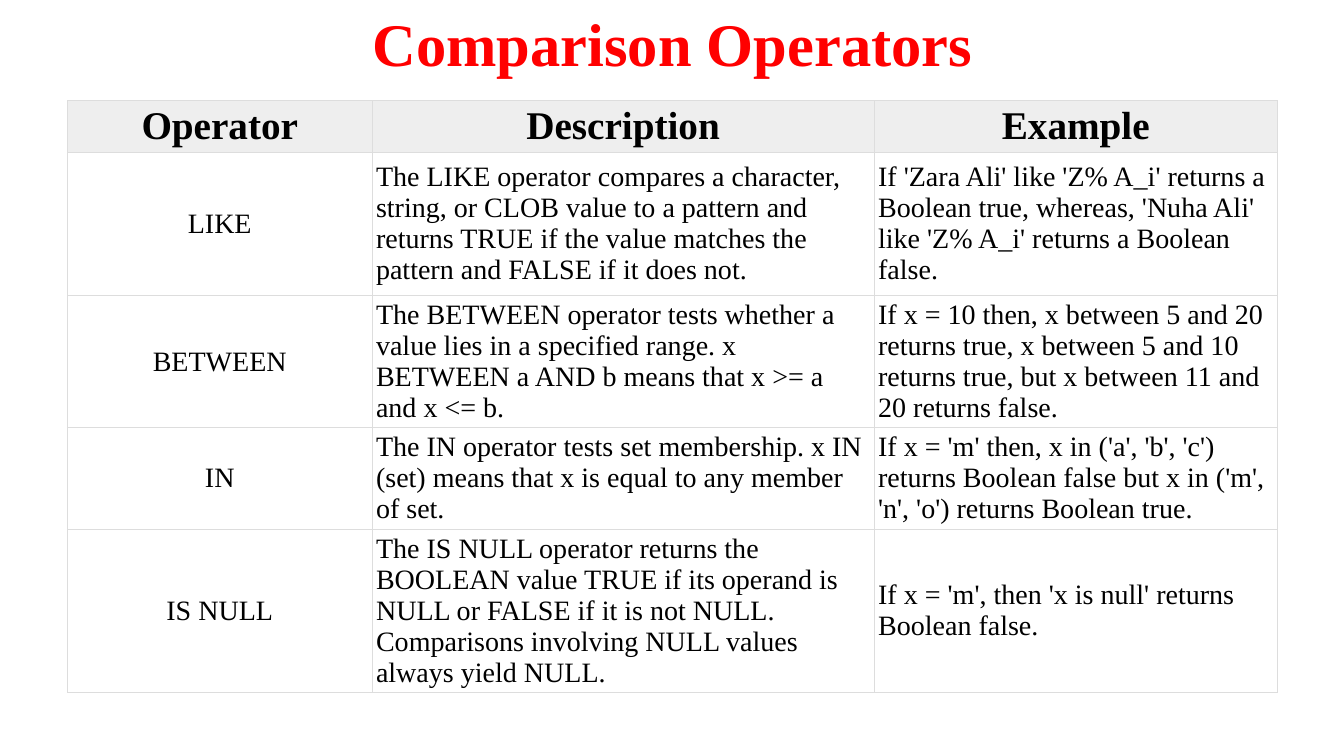
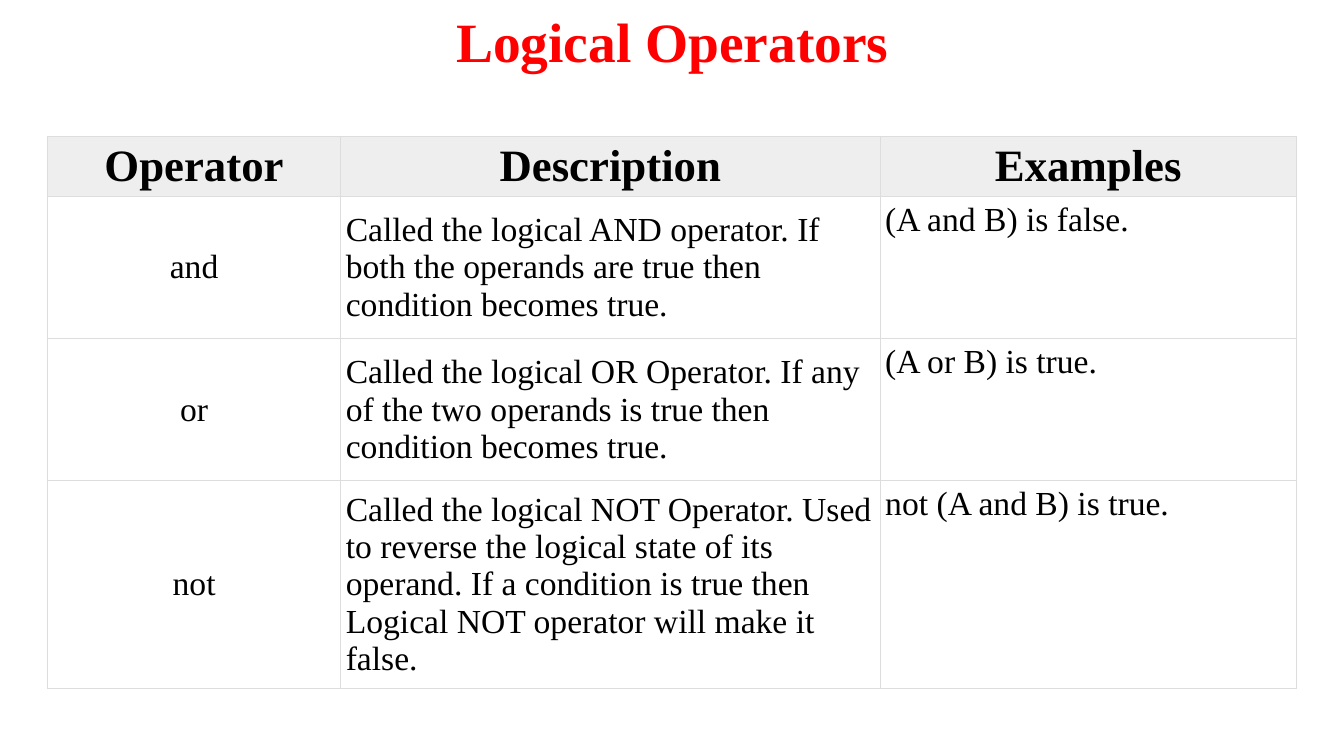
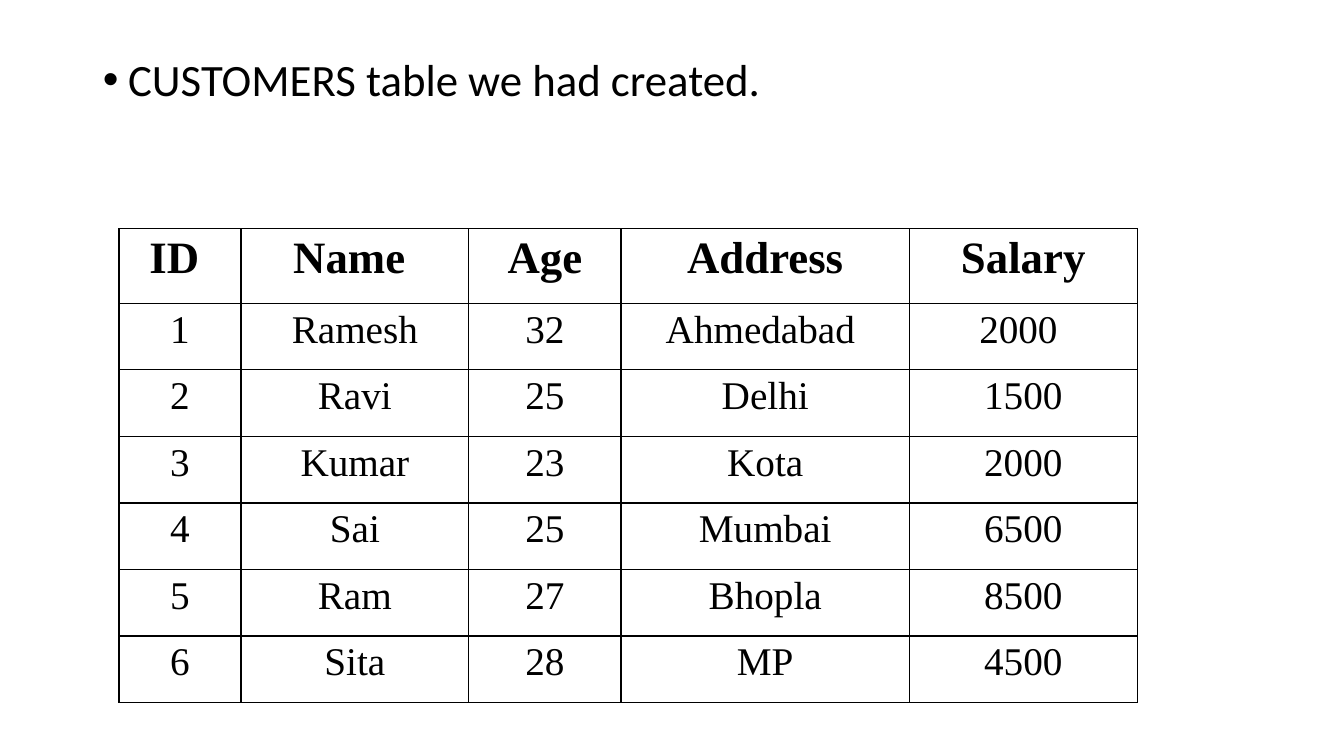
from lxml.etree import SubElement as Sub
from pptx import Presentation
from pptx.dml.color import RGBColor
from pptx.enum.text import MSO_ANCHOR as Anchor, MSO_AUTO_SIZE as Fit, PP_ALIGN as Align
from pptx.oxml import parse_xml
from pptx.oxml.ns import nsdecls, qn
from pptx.util import Inches, Pt

SERIF, SANS = "Times New Roman", "Calibri"
RED, BLACK, GRAY, PALE = "FF0000", "000000", "DDDDDD", "EEEEEE"
HEAD = (0.92, 0.09, 11.5, 0.9)

COMPARE = [
    ("Operator", "Description", "Example"),
    ("LIKE",
     "The LIKE operator compares a character, string, or CLOB value to a pattern "
     "and returns TRUE if the value matches the pattern and FALSE if it does not.",
     "If 'Zara Ali' like 'Z% A_i' returns a Boolean true, whereas, "
     "'Nuha Ali' like 'Z% A_i' returns a Boolean false."),
    ("BETWEEN",
     "The BETWEEN operator tests whether a value lies in a specified range. "
     "x BETWEEN a AND b means that x >= a and x <= b.",
     "If x = 10 then, x between 5 and 20 returns true, x between 5 and 10 "
     "returns true, but x between 11 and 20 returns false."),
    ("IN",
     "The IN operator tests set membership. "
     "x IN (set) means that x is equal to any member of set.",
     "If x = 'm' then, x in ('a', 'b', 'c') returns Boolean false "
     "but x in ('m', 'n', 'o') returns Boolean true."),
    ("IS NULL",
     "The IS NULL operator returns the BOOLEAN value TRUE if its operand is NULL "
     "or FALSE if it is not NULL. Comparisons involving NULL values always yield NULL.",
     "If x = 'm', then 'x is null' returns Boolean false."),
]
LOGIC = [
    ("Operator", "Description", "Examples"),
    ("and",
     "Called the logical AND operator. If both the operands are true "
     "then condition becomes true.",
     "(A and B) is false."),
    ("or",
     "Called the logical OR Operator. If any of the two operands is true "
     "then condition becomes true.",
     "(A or B) is true."),
    ("not",
     "Called the logical NOT Operator. Used to reverse the logical state of its operand. "
     "If a condition is true then Logical NOT operator will make it false.",
     "not (A and B) is true."),
]
PEOPLE = [
    ("ID ", "Name ", "Age", "Address", "Salary"),
    ("1", "Ramesh", "32", "Ahmedabad ", "2000 "),
    ("2", "Ravi", "25", "Delhi", "1500"),
    ("3", "Kumar", "23", "Kota", "2000"),
    ("4", "Sai", "25", "Mumbai", "6500"),
    ("5", "Ram", "27", "Bhopla", "8500"),
    ("6", "Sita", "28", "MP", "4500"),
]


def color(code):
    """Turn a hex string into a colour."""
    return RGBColor.from_string(code)


def style(para, size, face=SERIF, tint=BLACK, bold=False):
    """Format every run of a paragraph."""
    for run in para.runs:
        font = run.font
        font.size, font.name, font.bold = Pt(size), face, bold
        font.color.rgb = color(tint)


def place(shape, box):
    """Move a shape to a box given in inches."""
    shape.left, shape.top, shape.width, shape.height = map(Inches, box)


def write(holder, box, text):
    """Fill a placeholder from its top and return its paragraph."""
    place(holder, box)
    frame = holder.text_frame
    frame.text = text
    frame.word_wrap, frame.auto_size = True, Fit.NONE
    frame.vertical_anchor = Anchor.TOP
    para = frame.paragraphs[0]
    para.line_spacing, para.space_before = 0.9, Pt(0)
    return para


def title(slide, text, size):
    """Write the red centred slide title."""
    para = write(slide.shapes.title, HEAD, text)
    para.alignment = Align.CENTER
    style(para, size, tint=RED, bold=True)


def bullet(slide, box, text):
    """Write a single bulleted line in the body placeholder."""
    para = write(slide.placeholders[1], box, text)
    props = para._p.get_or_add_pPr()
    props.set("marL", str(Inches(0.25)))
    props.set("indent", str(-Inches(0.25)))
    Sub(props, qn("a:buFont"), typeface="Arial")
    Sub(props, qn("a:buChar"), char="•")
    style(para, 32, SANS)


def border(cell, tint, width):
    """Draw the four sides of a cell."""
    props = cell._tc.get_or_add_tcPr()
    for spot, side in enumerate("LRTB"):
        props.insert(spot, parse_xml(
            f'<a:ln{side} {nsdecls("a")} w="{Pt(width)}"><a:solidFill>'
            f'<a:srgbClr val="{tint}"/></a:solidFill></a:ln{side}>'))


def grid(slide, spot, cols, rows, data, sizes, line, pad=None, fill=None,
         left=(), middle=()):
    """Place a table; left and middle list the columns whose body is so aligned."""
    box = (*spot, sum(cols), sum(rows))
    table = slide.shapes.add_table(len(rows), len(cols), *map(Inches, box)).table
    table.horz_banding = False
    for col, width in zip(table.columns, cols):
        col.width = Inches(width)
    for r, (row, height) in enumerate(zip(table.rows, rows)):
        row.height = Inches(height)
        for c, cell in enumerate(row.cells):
            body = r > 0
            cell.text = data[r][c]
            para = cell.text_frame.paragraphs[0]
            para.alignment = Align.LEFT if body and c in left else Align.CENTER
            style(para, sizes[body], bold=not body)
            cell.vertical_anchor = Anchor.MIDDLE if body and c in middle else Anchor.TOP
            if pad:
                cell.margin_left = cell.margin_right = Inches(pad)
                cell.margin_top = cell.margin_bottom = Inches(pad)
            if fill and not body:
                cell.fill.solid()
                cell.fill.fore_color.rgb = color(fill)
            else:
                cell.fill.background()
            border(cell, *line)


def main():
    """Build and save the deck."""
    deck = Presentation()
    deck.slide_width, deck.slide_height = Inches(13.33), Inches(7.5)
    text, plain = deck.slide_layouts[1], deck.slide_layouts[5]

    slide = deck.slides.add_slide(plain)
    title(slide, "Comparison Operators", 43.2)
    grid(slide, (0.67, 1), (3.02, 4.98, 4), (0.51, 1.42, 1.31, 0.99, 1.62), COMPARE,
         (28, 20), (GRAY, 0.75), 0.04, PALE, left=(1, 2), middle=(0, 1, 2))

    slide = deck.slides.add_slide(plain)
    title(slide, "Logical Operators", 39.6)
    grid(slide, (0.47, 1.35), (2.91, 5.35, 4.13), (0.6, 1.41, 1.41, 2.06), LOGIC,
         (32, 24), (GRAY, 0.75), 0.05, PALE, left=(1, 2), middle=(0, 1))

    slide = deck.slides.add_slide(text)
    head = slide.shapes.title._element
    head.getparent().remove(head)
    bullet(slide, (0.92, 0.52, 11.5, 6.23), "CUSTOMERS table we had created.")
    grid(slide, (1.18, 2.27), (1.21, 2.26, 1.51, 2.86, 2.26), (0.74, *[0.66] * 6),
         PEOPLE, (32, 28), (BLACK, 1))

    deck.save("out.pptx")


if __name__ == "__main__":
    main()
